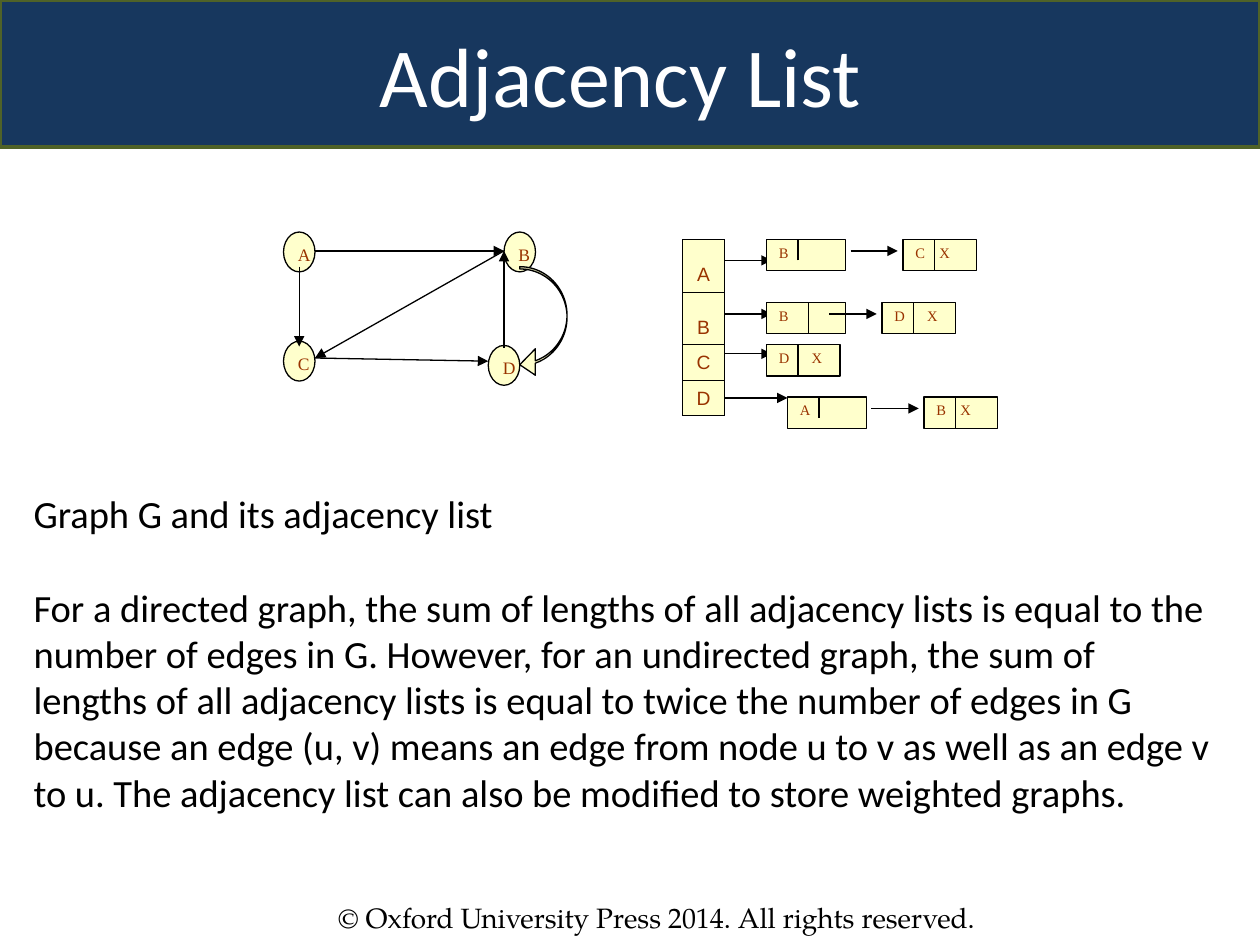
"""Build the Adjacency List slide: a directed graph beside its linked lists."""
from lxml.etree import SubElement
from pptx import Presentation
from pptx.dml.color import RGBColor
from pptx.enum.shapes import MSO_CONNECTOR, MSO_SHAPE
from pptx.enum.text import MSO_ANCHOR, MSO_AUTO_SIZE, PP_ALIGN
from pptx.oxml import parse_xml
from pptx.oxml.ns import nsdecls, qn
from pptx.util import Inches, Pt

COLOURS = {"banner": "17375E", "banner_edge": "4F6228", "node": "FFFFCC",
           "label": "993300", "ink": "000000", "title": "FFFFFF"}
RGB = {part: RGBColor.from_string(value) for part, value in COLOURS.items()}

deck = Presentation()
deck.slide_width, deck.slide_height = Inches(10), Inches(7.5)
COL, ROW = deck.slide_width / 120, deck.slide_height / 90
slide = deck.slides.add_slide(deck.slide_layouts[1])
shapes = slide.shapes


def add_node(preset, left, top, width, height, label="", size=10, tab=None):
    node = shapes.add_shape(preset, int(left * COL), int(top * ROW), int(width * COL), int(height * ROW))
    node.shadow.inherit = False
    node.fill.solid()
    node.fill.fore_color.rgb = RGB["node"]
    node.line.color.rgb = RGB["ink"]
    node.line.width = Pt(0.75)
    frame = node.text_frame
    frame.word_wrap = True
    frame.vertical_anchor = MSO_ANCHOR.TOP
    text = frame.paragraphs[0]
    text.text = label
    text.alignment = PP_ALIGN.LEFT
    if tab:
        tabs = SubElement(text._p.get_or_add_pPr(), qn("a:tabLst"))
        SubElement(tabs, qn("a:tab"), pos=str(Inches(tab)), algn="l")
    text.font.name, text.font.size = "Times New Roman", Pt(size)
    text.font.color.rgb = RGB["label"]
    return node


def add_line(x1, y1, x2, y2, arrow=True):
    line = shapes.add_connector(MSO_CONNECTOR.STRAIGHT, int(x1 * COL), int(y1 * ROW), int(x2 * COL), int(y2 * ROW))
    line.line.color.rgb = RGB["ink"]
    line.line.width = Pt(0.75)
    if arrow:
        SubElement(line.line._get_or_add_ln(), qn("a:tailEnd"), type="triangle")
    SubElement(line._element.spPr, qn("a:effectLst"))


banner = shapes.title
banner.left, banner.top, banner.width, banner.height = 0, 0, deck.slide_width, int(14 * ROW)
banner.fill.solid()
banner.fill.fore_color.rgb = RGB["banner"]
banner.line.color.rgb = RGB["banner_edge"]
banner.line.width = Pt(2)
banner.text_frame.margin_right = Inches(0.25)
banner.text_frame.vertical_anchor = MSO_ANCHOR.MIDDLE
heading = banner.text_frame.paragraphs[0]
heading.text = "Adjacency List"
heading.alignment = PP_ALIGN.CENTER
heading.font.name, heading.font.size = "Calibri", Pt(48)
heading.font.color.rgb = RGB["title"]

for vertex, left, top in [("A", 27, 22.1), ("B", 48, 22.1), ("C", 27, 32.5), ("D", 46.5, 32.9)]:
    add_node(MSO_SHAPE.OVAL, left, top, 3, 3.8, vertex)
for edge in [(28.5, 25.4, 28.5, 33), (48, 23.9, 30, 34.1), (30, 34.1, 46.5, 34.4),
             (48, 33.1, 48, 23.9), (30, 23.9, 48, 23.9)]:
    add_line(*edge)
curved_edge = add_node(MSO_SHAPE.CURVED_LEFT_ARROW, 49.5, 25.4, 4.5, 10.6)
for index, share in enumerate([0.05, 0.56, 0.33]):
    curved_edge.adjustments[index] = share

for y, end in [(24.8, 73.5), (29.9, 73.5), (33.7, 73.5), (37.9, 75)]:
    add_line(69, y, end, y)

heads = shapes.add_table(4, 1, int(65 * COL), int(22.8 * ROW), int(4 * COL), int(16.8 * ROW)).table
heads.first_row = heads.horz_banding = False
for index, (vertex, height) in enumerate(zip("ABCD", [5, 5, 3.4, 3.4])):
    heads.rows[index].height = int(height * ROW)
    cell = heads.cell(index, 0)
    cell.vertical_anchor = MSO_ANCHOR.BOTTOM
    for side in ("lnL", "lnR", "lnT", "lnB"):
        cell._tc.get_or_add_tcPr().append(parse_xml(
            f'<a:{side} {nsdecls("a")} w="{Pt(0.45)}"><a:solidFill>'
            f'<a:srgbClr val="{COLOURS["ink"]}"/></a:solidFill></a:{side}>'))
    cell.fill.solid()
    cell.fill.fore_color.rgb = RGB["node"]
    text = cell.text_frame.paragraphs[0]
    text.text = vertex
    text.alignment = PP_ALIGN.CENTER
    text.font.name, text.font.size = "Arial", Pt(11)
    text.font.color.rgb = RGB["label"]

list_cells = [  # left, top, width, label, tab, divider offset, divider height
    (86, 22.8, 7, "C\tX", 0.19, 3, 3), (73, 22.8, 7.5, "B", None, 3, 2),
    (73, 28.8, 7.5, "B", None, 4, 3), (84, 28.8, 7, "D\tX", 0.26, 3, 3),
    (73, 32.8, 7, "D\tX", 0.26, 3, 3), (88, 37.8, 7, "B\tX", 0.19, 3, 3),
    (75, 37.8, 7.5, "A", None, 3, 2)]
for left, top, width, label, tab, offset, height in list_cells:
    entry = add_node(MSO_SHAPE.RECTANGLE, left, top, width, 3, label, 8.3, tab)
    entry.text_frame.paragraphs[0].line_spacing = 0.9
    add_line(left + offset, top + height, left + offset, top, arrow=False)
for x, y in [(81, 23.9), (79, 29.9), (83, 38.9)]:
    add_line(x, y, x + 4.5, y)

body = slide.placeholders[1]
body.left, body.top, body.width, body.height = int(2 * COL), int(46.1 * ROW), int(115 * COL), int(32 * ROW)
explanation = body.text_frame
explanation.text = (
    "Graph G and its adjacency list\n"
    "For a directed graph, the sum of lengths of all adjacency lists is equal to the number of edges in G. "
    "However, for an undirected graph, the sum of lengths of all adjacency lists is equal to twice the number "
    "of edges in G because an edge (u, v) means an edge from node u to v as well as an edge v to u. "
    "The adjacency list can also be modified to store weighted graphs.")
explanation.auto_size = MSO_AUTO_SIZE.NONE
for text, gap in zip(explanation.paragraphs, [0, 27]):
    properties = text._p.get_or_add_pPr()
    properties.set("marL", "0")
    properties.set("indent", "0")
    SubElement(properties, qn("a:buNone"))
    text.space_before = Pt(gap)
    text.font.name, text.font.size = "Calibri", Pt(22)
    text.font.color.rgb = RGB["ink"]

copyright_line = shapes.add_textbox(int(31 * COL), int(85.2 * ROW), int(71 * COL), int(4.4 * ROW)).text_frame
copyright_line.word_wrap = True
text = copyright_line.paragraphs[0]
text.text = "© Oxford University Press 2014. All rights reserved."
text.font.name, text.font.size = "TeX Gyre Pagella", Pt(16)
text.font.color.rgb = RGB["ink"]

deck.save("out.pptx")
